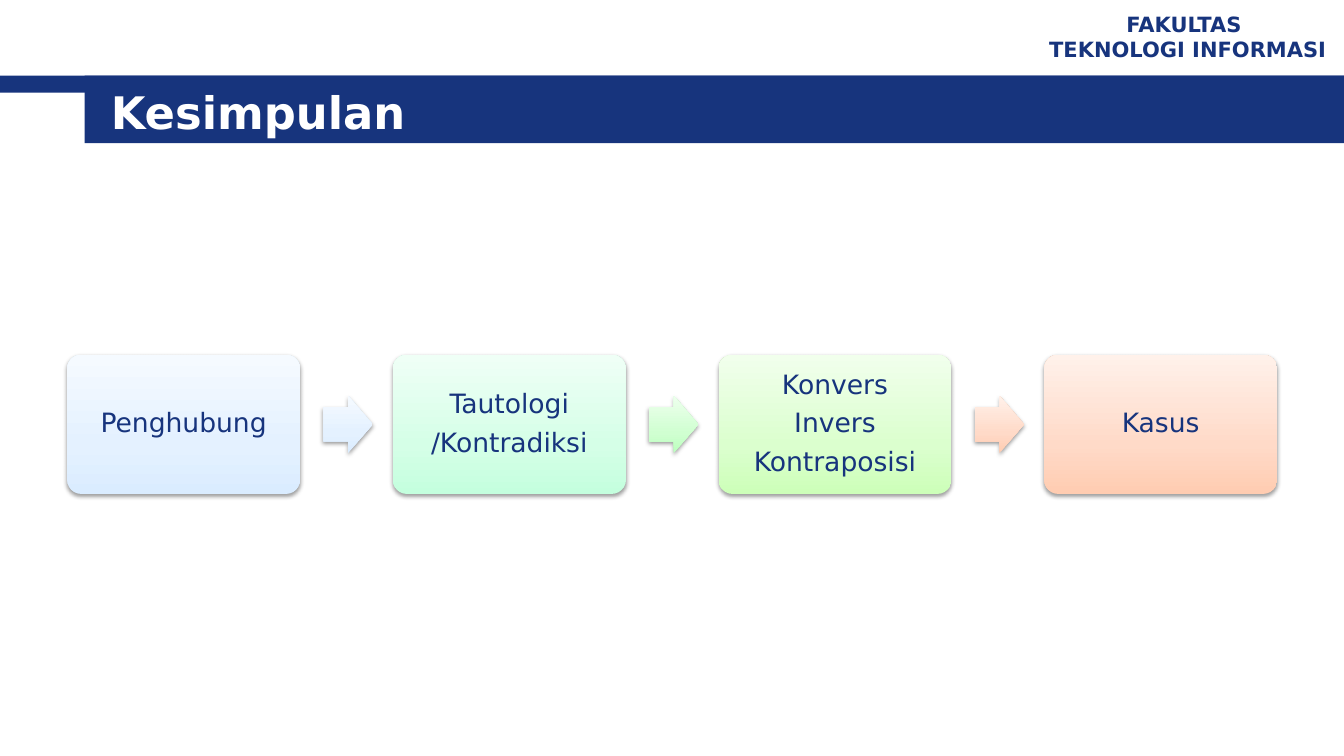
from copy import deepcopy
from dataclasses import dataclass
from typing import Any

from lxml import etree
from pptx import Presentation
from pptx.dml.color import RGBColor
from pptx.enum.shapes import MSO_SHAPE
from pptx.enum.text import MSO_ANCHOR, PP_ALIGN
from pptx.oxml.ns import qn
from pptx.util import Emu, Inches, Pt

RECTANGLE = MSO_SHAPE.RECTANGLE
ROUNDED = MSO_SHAPE.ROUNDED_RECTANGLE
ARROW = MSO_SHAPE.RIGHT_ARROW
MIDDLE = MSO_ANCHOR.MIDDLE
LEFT, CENTER = PP_ALIGN.LEFT, PP_ALIGN.CENTER

Gradient = tuple[str, str, str]


@dataclass(frozen=True)
class Theme:
    font: str = "DejaVu Sans"
    navy: str = "17347D"
    white: str = "FFFFFF"
    title_size: float = 32
    faculty_size: float = 15
    step_size: float = 19
    blue: Gradient = ("DAECFF", "E4F1FF", "F5FAFF")
    mint: Gradient = ("C4FFDE", "D5FFE7", "EFFFF6")
    green: Gradient = ("BCFFBE", "D0FFD1", "EDFFED")
    lime: Gradient = ("CDFFB9", "DBFFCE", "F1FFEC")
    peach: Gradient = ("FFCCB1", "FFDAC8", "FFF1EA")


@dataclass(frozen=True)
class Box:
    """A place on the slide, in inches."""
    left: float
    top: float
    width: float
    height: float

    def emu(self) -> list[Emu]:
        return [Inches(n) for n in (self.left, self.top, self.width, self.height)]


@dataclass(frozen=True)
class Step:
    lines: tuple[str, ...]
    card_colors: Gradient
    arrow_colors: Gradient | None = None


THEME = Theme()
SLIDE_WIDTH, SLIDE_HEIGHT = 13.33, 7.5
BAND_TOP = SLIDE_HEIGHT / 10
MARGIN = SLIDE_WIDTH / 20
COLUMN = 3.23
ROW_MIDDLE = 4.21
CARD_WIDTH, CARD_HEIGHT = 2.31, 1.38
ARROW_OFFSET, ARROW_WIDTH, ARROW_HEIGHT = 2.54, 0.49, 0.57
GRADIENT_POSITIONS = (0, 0.35, 1)

BANDS = (
    Box(0, BAND_TOP, SLIDE_WIDTH, 0.17),
    Box(0.84, BAND_TOP, SLIDE_WIDTH - 0.84, 0.67),
)
STEPS = (
    Step(("Penghubung",), THEME.blue, THEME.blue),
    Step(("Tautologi", "/Kontradiksi"), THEME.mint, THEME.green),
    Step(("Konvers", "Invers", "Kontraposisi"), THEME.lime, THEME.peach),
    Step(("Kasus",), THEME.peach),
)
STEP_INSETS = dict.fromkeys(
    ("margin_left", "margin_top", "margin_right", "margin_bottom"), Inches(0.08))
STEP_SPACING = {"line_spacing": 0.9, "space_after": Pt(7)}


def apply(target: Any, values: dict[str, Any]) -> None:
    for name, value in values.items():
        setattr(target, name, value)


def write(frame: Any, lines: tuple[str, ...], size: float, color: str,
          bold: bool, paragraph_format: dict[str, Any]) -> None:
    apply(frame, {"word_wrap": True, "vertical_anchor": MIDDLE})
    for index, line in enumerate(lines):
        paragraph = frame.paragraphs[0] if index == 0 else frame.add_paragraph()
        apply(paragraph, paragraph_format)
        run = paragraph.add_run()
        run.text = line
        apply(run.font, {"name": THEME.font, "size": Pt(size), "bold": bold})
        run.font.color.rgb = RGBColor.from_string(color)


def add_plain(slide: Any, kind: Any, box: Box) -> Any:
    shape = slide.shapes.add_shape(kind, *box.emu())
    shape.line.fill.background()
    shape.shadow.inherit = False
    return shape


def add_raised(slide: Any, kind: Any, box: Box, colors: Gradient,
               adjustments: tuple[float, ...]) -> Any:
    """Add a shape with a bottom-to-top gradient and a soft shadow below."""
    shape = add_plain(slide, kind, box)
    for index, value in enumerate(adjustments):
        shape.adjustments[index] = value
    shape.fill.gradient()
    shape.fill.gradient_angle = 90
    properties = shape._element.spPr
    stop_list = properties.find(".//" + qn("a:gsLst"))
    stop_list.append(deepcopy(stop_list[-1]))
    for stop, color, position in zip(shape.fill.gradient_stops, colors, GRADIENT_POSITIONS):
        stop.color.rgb = RGBColor.from_string(color)
        stop.position = position
    shadow = etree.SubElement(
        properties.find(qn("a:effectLst")), qn("a:outerShdw"),
        blurRad=str(Pt(3.1)), dist=str(Pt(1.6)), dir="5400000", rotWithShape="0")
    shade = etree.SubElement(shadow, qn("a:srgbClr"), val="000000")
    etree.SubElement(shade, qn("a:alpha"), val="38000")
    return shape


def add_header(slide: Any) -> None:
    for band in BANDS:
        shape = add_plain(slide, RECTANGLE, band)
        shape.fill.solid()
        shape.fill.fore_color.rgb = RGBColor.from_string(THEME.navy)
    faculty = slide.shapes.add_textbox(*Box(10.23, 0.05, 3.1, 0.62).emu())
    write(faculty.text_frame, ("FAKULTAS ", "TEKNOLOGI INFORMASI"),
          THEME.faculty_size, THEME.navy, True, {"alignment": CENTER})
    title = slide.shapes.add_textbox(*Box(1, 0.8, 11.89, 0.62).emu())
    write(title.text_frame, ("Kesimpulan",),
          THEME.title_size, THEME.white, True, {"alignment": LEFT})


def add_step(slide: Any, step: Step, column: int) -> None:
    left = MARGIN + column * COLUMN
    card_box = Box(left, ROW_MIDDLE - CARD_HEIGHT / 2, CARD_WIDTH, CARD_HEIGHT)
    card = add_raised(slide, ROUNDED, card_box, step.card_colors, (0.1,))
    apply(card.text_frame, STEP_INSETS)
    write(card.text_frame, step.lines, THEME.step_size, THEME.navy, False,
          {"alignment": CENTER, **STEP_SPACING})
    if step.arrow_colors:
        arrow_box = Box(left + ARROW_OFFSET, ROW_MIDDLE - ARROW_HEIGHT / 2,
                        ARROW_WIDTH, ARROW_HEIGHT)
        add_raised(slide, ARROW, arrow_box, step.arrow_colors, (0.6, 0.5))


def main() -> None:
    deck = Presentation()
    apply(deck, {"slide_width": Inches(SLIDE_WIDTH), "slide_height": Inches(SLIDE_HEIGHT)})
    slide = deck.slides.add_slide(deck.slide_layouts[6])
    add_header(slide)
    for column, step in enumerate(STEPS):
        add_step(slide, step, column)
    deck.save("out.pptx")


if __name__ == "__main__":
    main()
